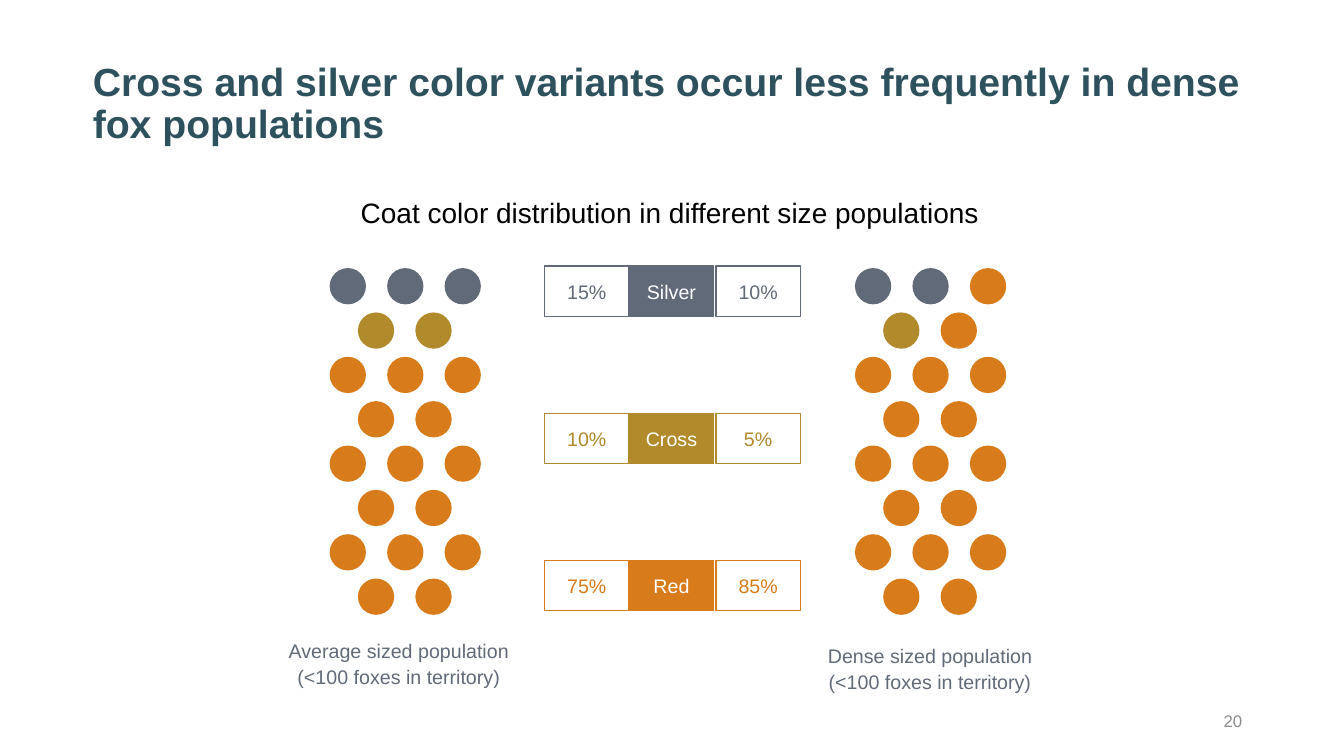
from pptx import Presentation
from pptx import util as u
from pptx.dml.color import RGBColor
from pptx.enum import shapes, text

PX = 9144
TEAL = RGBColor(0x2E, 0x51, 0x5E)
BLACK = RGBColor(0x00, 0x00, 0x00)
WHITE = RGBColor(0xFF, 0xFF, 0xFF)
GREY = RGBColor(0x8C, 0x8C, 0x8C)
SILVER = RGBColor(0x61, 0x6A, 0x78)
CROSS = RGBColor(0xB1, 0x8A, 0x2C)
RED = RGBColor(0xD8, 0x7C, 0x1B)

LEFT, CENTER, RIGHT = text.PP_ALIGN.LEFT, text.PP_ALIGN.CENTER, text.PP_ALIGN.RIGHT
TOP, MIDDLE = text.MSO_ANCHOR.TOP, text.MSO_ANCHOR.MIDDLE
CAPTION = {"line_spacing": 0.5, "space_before": u.Pt(10)}

VARIANTS = [
    ("Silver", SILVER, "15%", "10%"),
    ("Cross", CROSS, "10%", "5%"),
    ("Red", RED, "75%", "85%"),
]


class FoxSlide:
    font_name = "Arial"

    def __init__(self, presentation):
        self.slide = presentation.slides.add_slide(presentation.slide_layouts[6])

    def fill_text(self, shape, lines, size, color, align=CENTER, anchor=TOP,
                  bold=False, insets=(10, 5, 10, 5), spacing=None):
        frame = shape.text_frame
        left, top, right, bottom = (inset * PX for inset in insets)
        frame_format = {
            "word_wrap": True, "vertical_anchor": anchor,
            "margin_left": left, "margin_top": top,
            "margin_right": right, "margin_bottom": bottom,
        }
        for name, value in frame_format.items():
            setattr(frame, name, value)
        frame.text = "\n".join(lines)
        paragraph_format = {"alignment": align, **(spacing or {})}
        font_format = {"name": self.font_name, "size": u.Pt(size), "bold": bold}
        for paragraph in frame.paragraphs:
            for name, value in paragraph_format.items():
                setattr(paragraph, name, value)
            font = paragraph.runs[0].font
            for name, value in font_format.items():
                setattr(font, name, value)
            font.color.rgb = color

    def text_box(self, box, lines, size, color, **style):
        shape = self.slide.shapes.add_textbox(*(length * PX for length in box))
        self.fill_text(shape, lines, size, color, **style)

    def preset(self, kind, box, fill=None, line=None):
        shape = self.slide.shapes.add_shape(kind, *(length * PX for length in box))
        shape.shadow.inherit = False
        if fill is None:
            shape.fill.background()
        else:
            shape.fill.solid()
            shape.fill.fore_color.rgb = fill
        if line is None:
            shape.line.fill.background()
        else:
            shape.line.color.rgb = line
            shape.line.width = u.Pt(1)
        return shape

    def population(self, left, colors):
        top, diameter, column_step, row_step = 266, 36, 57, 44
        places = [(row, column) for row in range(8) for column in range(3 - row % 2)]
        for (row, column), color in zip(places, colors):
            x = left + column * column_step + row % 2 * 28
            y = top + row * row_step
            self.preset(shapes.MSO_SHAPE.OVAL, (x, y, diameter, diameter), fill=color)

    def variant(self, top, name, color, average, dense):
        cells = [(624, name, color, WHITE), (540, average, None, color), (710, dense, None, color)]
        for left, label, fill, font_color in cells:
            cell = self.preset(shapes.MSO_SHAPE.RECTANGLE, (left, top, 84, 50), fill, color)
            self.fill_text(cell, [label], 14, font_color, anchor=MIDDLE)


def main():
    presentation = Presentation()
    presentation.slide_width = 1333 * PX
    presentation.slide_height = 750 * PX
    fox = FoxSlide(presentation)

    fox.text_box((92, 62, 1152, 96),
                 ["Cross and silver color variants occur less frequently in dense fox populations"],
                 28, TEAL, align=LEFT, bold=True, insets=(0, 0, 0, 0),
                 spacing={"line_spacing": 0.9})
    fox.text_box((292, 189, 745, 44),
                 ["Coat color distribution in different size populations"], 20, BLACK)

    fox.population(327, [SILVER] * 3 + [CROSS] * 2 + [RED] * 15)
    fox.population(848, [SILVER] * 2 + [RED, CROSS] + [RED] * 16)

    for row, (name, color, average, dense) in enumerate(VARIANTS):
        fox.variant(264 + row * 146, name, color, average, dense)

    territory = "(<100 foxes in territory)"
    fox.text_box((224, 639, 353, 60), ["Average sized population", territory],
                 14, SILVER, insets=(0, 5, 10, 5), spacing=CAPTION)
    fox.text_box((746, 638, 353, 60), ["Dense sized population", territory],
                 14, SILVER, anchor=MIDDLE, spacing=CAPTION)
    fox.text_box((942, 695, 300, 40), ["20"], 12, GREY, align=RIGHT, anchor=MIDDLE)

    presentation.save("out.pptx")


if __name__ == "__main__":
    main()
